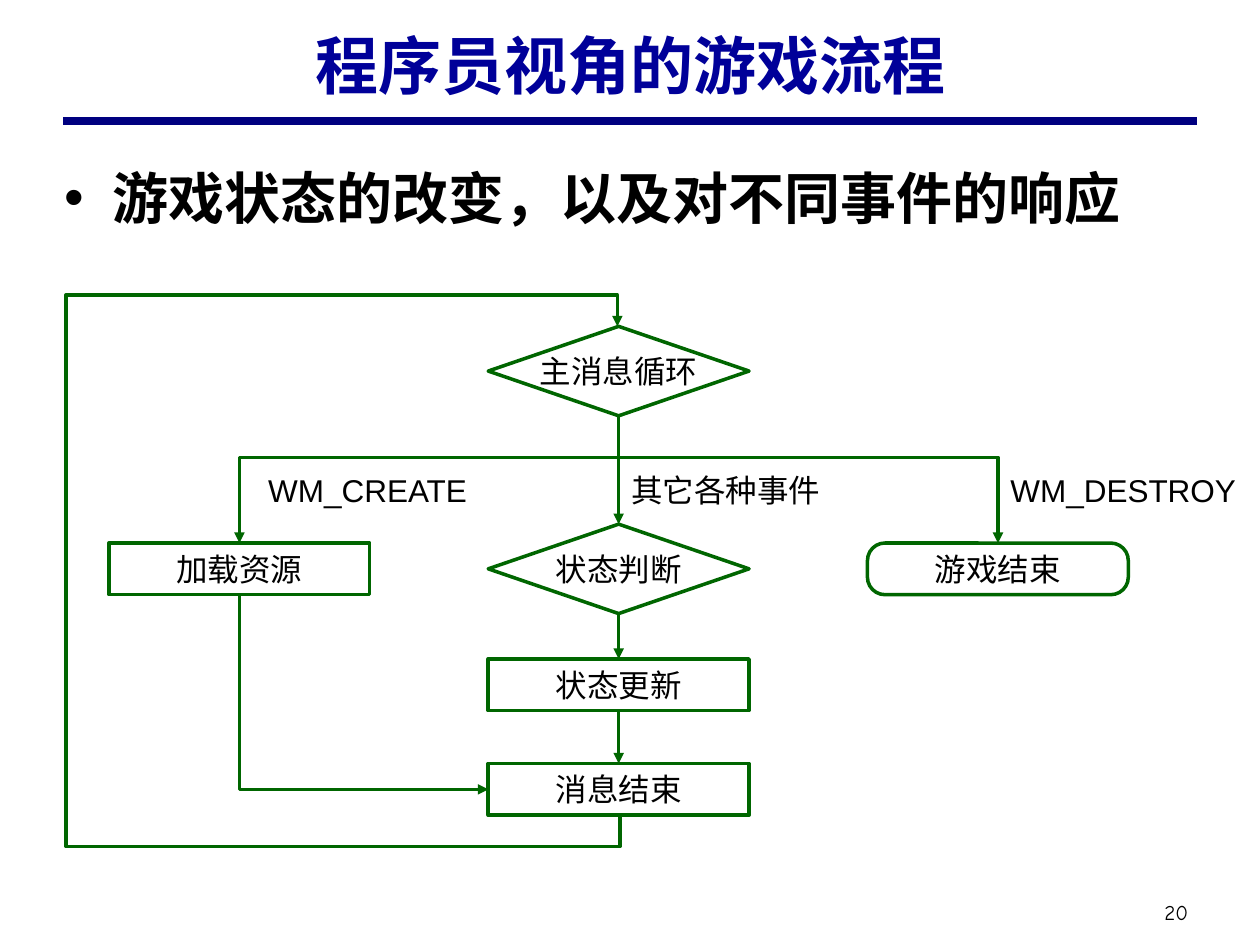
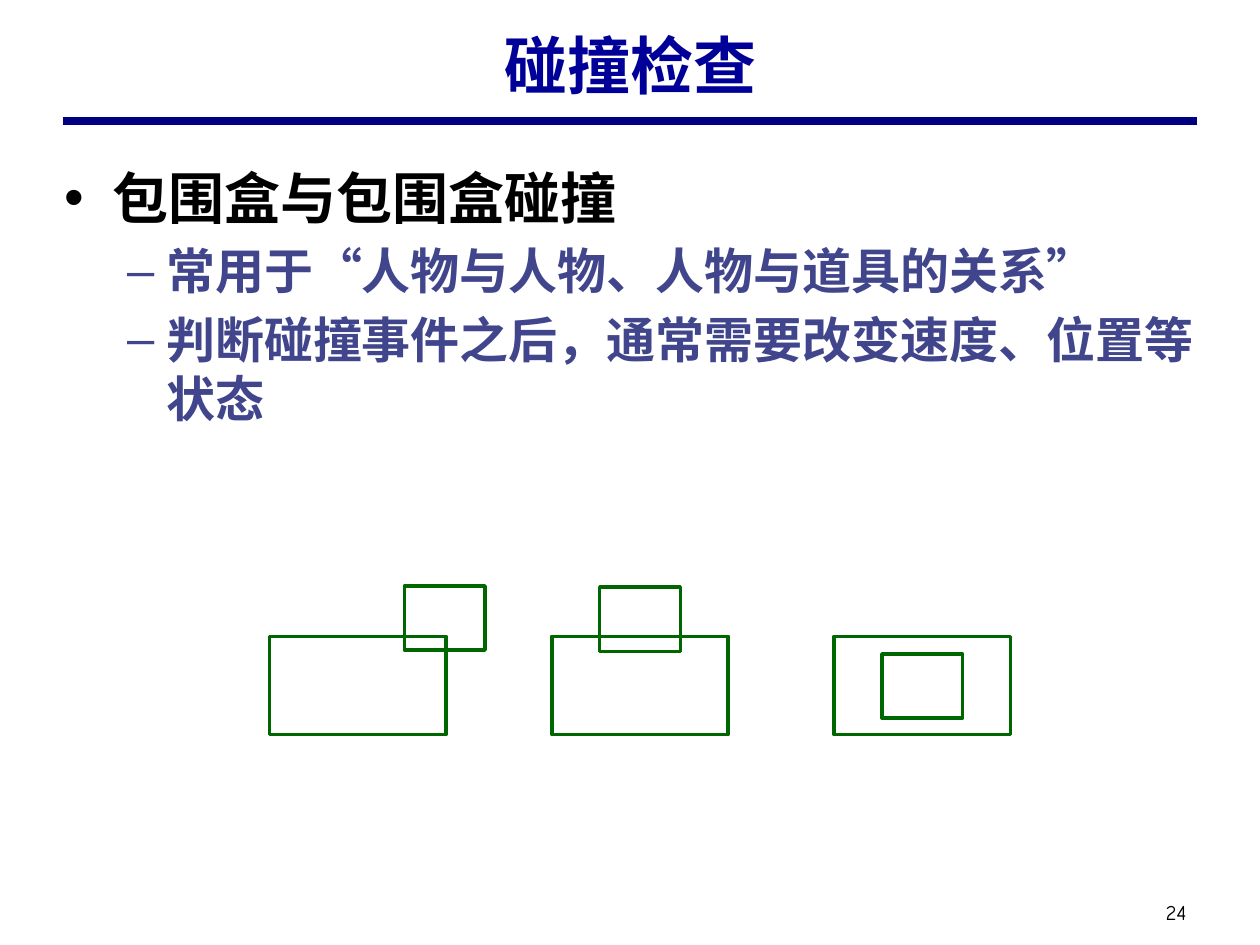
from dataclasses import dataclass

from lxml.etree import SubElement
from pptx import Presentation
from pptx.dml.color import RGBColor
from pptx.enum.shapes import MSO_CONNECTOR as Link, MSO_SHAPE as Preset
from pptx.enum.text import MSO_ANCHOR as Anchor, MSO_AUTO_SIZE as AutoSize, PP_ALIGN as Align
from pptx.oxml.ns import qn
from pptx.shapes.autoshape import Shape
from pptx.shapes.connector import Connector
from pptx.slide import Slide
from pptx.text.text import TextFrame, _Paragraph as Paragraph
from pptx.util import Inches, Pt

NAVY, TITLE_BLUE, SLATE, GREEN, BLACK = "000080", "000099", "40458C", "006600", "000000"
SERIF, SANS, NUMBER_FONT = "Times New Roman", "Arial", "Comic Neue"

LEFT_X, CENTER_X, RIGHT_X = 1.9, 4.91, 7.92
NODE_WIDTH, BOX_HEIGHT, DIAMOND_HEIGHT = 2.07, 0.41, 0.71
BRANCH_DROP = 0.33
LOOP_LEFT, LOOP_MARGIN = 0.54, 0.25
TOP_SITE, BOTTOM_SITE = 0, 2

Point = tuple[float, float]


@dataclass(frozen=True)
class Level:
    size: int
    color: str
    margin: float
    hanging: float


LEVELS = [Level(32, BLACK, 0.38, 0.38), Level(28, SLATE, 0.81, 0.31)]


@dataclass(frozen=True)
class Node:
    text: str
    center_x: float
    top: float
    preset: Preset = Preset.RECTANGLE
    height: float = BOX_HEIGHT

    @property
    def top_point(self) -> Point:
        return self.center_x, self.top

    @property
    def bottom_point(self) -> Point:
        return self.center_x, self.top + self.height


@dataclass(frozen=True)
class Label:
    text: str
    left: float
    width: float


@dataclass(frozen=True)
class Collision:
    """A small box given by its offset from the corner of the large one."""
    dx: float
    dy: float


MAIN_LOOP = Node("主消息循环", CENTER_X, 2.59, Preset.FLOWCHART_DECISION, DIAMOND_HEIGHT)
STATE_CHECK = Node("状态判断", CENTER_X, 4.16, Preset.FLOWCHART_DECISION, DIAMOND_HEIGHT)
STATE_UPDATE = Node("状态更新", CENTER_X, 5.23)
MESSAGE_END = Node("消息结束", CENTER_X, 6.06)
LOAD_ASSETS = Node("加载资源", LEFT_X, 4.31)
GAME_OVER = Node("游戏结束", RIGHT_X, 4.31, Preset.ROUNDED_RECTANGLE)
MAIN_COLUMN = [MAIN_LOOP, STATE_CHECK, STATE_UPDATE, MESSAGE_END]

EVENT_LABELS = [
    Label("WM_CREATE", 2.03, 1.8),
    Label("其它各种事件", CENTER_X, 1.72),
    Label("WM_DESTROY", RIGHT_X, 2.01),
]
COLLISIONS = [Collision(1.07, -0.4), Collision(0.38, -0.39), Collision(0.38, 0.14)]


def rgb(color: str) -> RGBColor:
    return RGBColor.from_string(color)


def write(paragraph: Paragraph, text: str, *, size: float = 18, color: str = BLACK,
          font: str = SANS, bold: bool = False, align: Align = Align.LEFT) -> None:
    paragraph.alignment = align
    run = paragraph.add_run()
    run.text = text
    run.font.size, run.font.name, run.font.bold = Pt(size), font, bold
    run.font.color.rgb = rgb(color)


def place(shape: Shape, left: float, top: float, width: float, height: float) -> None:
    shape.left, shape.top = Inches(left), Inches(top)
    shape.width, shape.height = Inches(width), Inches(height)


def add_text(slide: Slide, text: str, left: float, top: float, width: float,
             height: float, **text_format) -> TextFrame:
    box = slide.shapes.add_textbox(Inches(left), Inches(top), Inches(width), Inches(height))
    frame = box.text_frame
    frame.word_wrap = False
    write(frame.paragraphs[0], text, **text_format)
    return frame


def add_outline(slide: Slide, preset: Preset, left: float, top: float,
                width: float, height: float) -> Shape:
    shape = slide.shapes.add_shape(preset, Inches(left), Inches(top),
                                   Inches(width), Inches(height))
    shape.shadow.inherit = False
    shape.fill.background()
    shape.line.color.rgb = rgb(GREEN)
    shape.line.width = Pt(2)
    return shape


def add_line(slide: Slide, kind: Link, start: Point, end: Point, *, color: str = GREEN,
             width: float = 2, arrow: bool = True) -> Connector:
    line = slide.shapes.add_connector(kind, *map(Inches, start + end))
    line.line.color.rgb = rgb(color)
    line.line.width = Pt(width)
    properties = line._element.spPr
    if arrow:
        SubElement(properties.find(qn("a:ln")), qn("a:tailEnd"), type="triangle")
    SubElement(properties, qn("a:effectLst"))
    return line


def add_elbow(slide: Slide, start: Point, end: Point, preset: str,
              *bends: float) -> None:
    """Draw an arrow that leaves vertically; bends are fractions of its frame."""
    (x1, y1), (x2, y2) = start, end
    mid_x, mid_y = (x1 + x2) / 2, (y1 + y2) / 2
    half_length, half_depth = abs(y2 - y1) / 2, abs(x2 - x1) / 2
    leftward, upward = x2 < x1, y2 < y1
    elbow = add_line(slide, Link.ELBOW, (mid_x - half_length, mid_y - half_depth),
                     (mid_x + half_length, mid_y + half_depth))
    properties = elbow._element.spPr
    frame = properties.find(qn("a:xfrm"))
    frame.set("rot", str((90 if leftward else 270) * 60000))
    if leftward == upward:
        frame.set("flipH", "1")
    geometry = properties.find(qn("a:prstGeom"))
    geometry.set("prst", preset)
    adjustments = geometry.find(qn("a:avLst"))
    for number, bend in enumerate(bends, 1):
        SubElement(adjustments, qn("a:gd"), name=f"adj{number}",
                   fmla=f"val {round(bend * 100000)}")


def add_node(slide: Slide, node: Node) -> Shape:
    shape = add_outline(slide, node.preset, node.center_x - NODE_WIDTH / 2, node.top,
                        NODE_WIDTH, node.height)
    if node.preset == Preset.ROUNDED_RECTANGLE:
        shape.adjustments[0] = 0.34
    frame = shape.text_frame
    frame.word_wrap = False
    frame.vertical_anchor = Anchor.MIDDLE
    write(frame.paragraphs[0], node.text, align=Align.CENTER)
    return shape


def add_content_slide(deck: Presentation, title: str, number: int, body_height: float,
                      items: list[tuple[int, str]]) -> Slide:
    slide = deck.slides.add_slide(deck.slide_layouts[1])
    add_line(slide, Link.STRAIGHT, (0.5, 0.96), (9.5, 0.96),
             color=NAVY, width=4.5, arrow=False)

    number_frame = add_text(slide, str(number), 9.1, 7.09, 0.47, 0.3, size=12,
                            font=NUMBER_FONT, align=Align.CENTER)
    number_frame.vertical_anchor = Anchor.MIDDLE
    number_frame.margin_left = number_frame.margin_right = Inches(0.05)

    heading, body = slide.placeholders
    place(heading, 0.75, 0.08, 8.5, 0.86)
    place(body, 0.41, 1.25, 9.18, body_height)
    for placeholder in (heading, body):
        placeholder.text_frame.auto_size = AutoSize.NONE
    heading.text_frame.vertical_anchor = Anchor.MIDDLE
    write(heading.text_frame.paragraphs[0], title, size=36, color=TITLE_BLUE,
          font=SERIF, bold=True, align=Align.CENTER)

    frame = body.text_frame
    for index, (depth, text) in enumerate(items):
        paragraph = frame.add_paragraph() if index else frame.paragraphs[0]
        level = LEVELS[depth]
        paragraph.level = depth
        paragraph.space_before = Pt(0.2 * level.size if index else 0)
        indents = paragraph._p.get_or_add_pPr()
        indents.set("marL", str(Inches(level.margin)))
        indents.set("indent", str(-Inches(level.hanging)))
        write(paragraph, text, size=level.size, color=level.color, font=SERIF, bold=True)
    return slide


def build_game_flow(deck: Presentation) -> None:
    slide = add_content_slide(deck, "程序员视角的游戏流程", 20, 0.74,
                              [(0, "游戏状态的改变，以及对不同事件的响应")])
    column = [add_node(slide, node) for node in MAIN_COLUMN]
    for upper, lower, node, following in zip(column, column[1:], MAIN_COLUMN, MAIN_COLUMN[1:]):
        step = add_line(slide, Link.STRAIGHT, node.bottom_point, following.top_point)
        step.begin_connect(upper, BOTTOM_SITE)
        step.end_connect(lower, TOP_SITE)

    fork = MAIN_LOOP.bottom_point
    for branch in (LOAD_ASSETS, GAME_OVER):
        add_node(slide, branch)
        add_elbow(slide, fork, branch.top_point, "bentConnector3",
                  BRANCH_DROP / (branch.top - fork[1]))

    message_end_side = (CENTER_X - NODE_WIDTH / 2, MESSAGE_END.top + BOX_HEIGHT / 2)
    add_elbow(slide, LOAD_ASSETS.bottom_point, message_end_side, "bentConnector2")

    loop_start = (CENTER_X + 0.01, MESSAGE_END.bottom_point[1])
    loop_end = (CENTER_X - 0.01, MAIN_LOOP.top)
    margin = LOOP_MARGIN / (loop_start[1] - loop_end[1])
    reach = (loop_start[0] - LOOP_LEFT) / (loop_start[0] - loop_end[0])
    add_elbow(slide, loop_start, loop_end, "bentConnector5", -margin, reach, 1 + margin)

    for label in EVENT_LABELS:
        add_text(slide, label.text, label.left, 3.69, label.width, 0.4)


def build_collision_check(deck: Presentation) -> None:
    slide = add_content_slide(deck, "碰撞检查", 24, 5.55, [
        (0, "包围盒与包围盒碰撞"),
        (1, "常用于“人物与人物、人物与道具的关系”"),
        (1, "判断碰撞事件之后，通常需要改变速度、位置等状态"),
    ])
    for index, collision in enumerate(COLLISIONS):
        left, top = 2.14 + 2.24 * index, 5.05
        add_outline(slide, Preset.RECTANGLE, left, top, 1.4, 0.78)
        add_outline(slide, Preset.RECTANGLE, left + collision.dx, top + collision.dy,
                    0.64, 0.51)


def main() -> None:
    deck = Presentation()
    deck.slide_width, deck.slide_height = Inches(10), Inches(7.5)
    build_game_flow(deck)
    build_collision_check(deck)
    deck.save("out.pptx")


if __name__ == "__main__":
    main()
